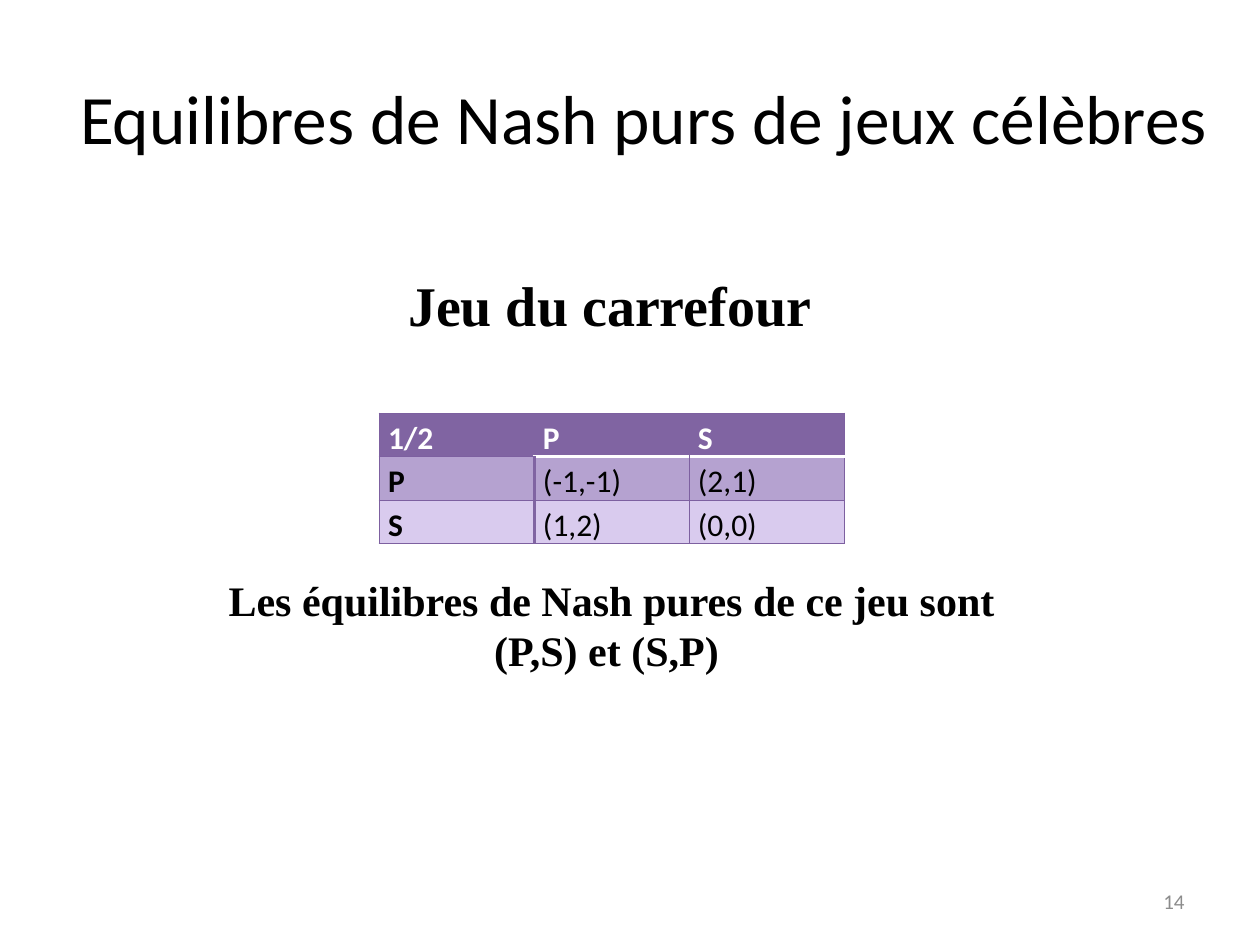
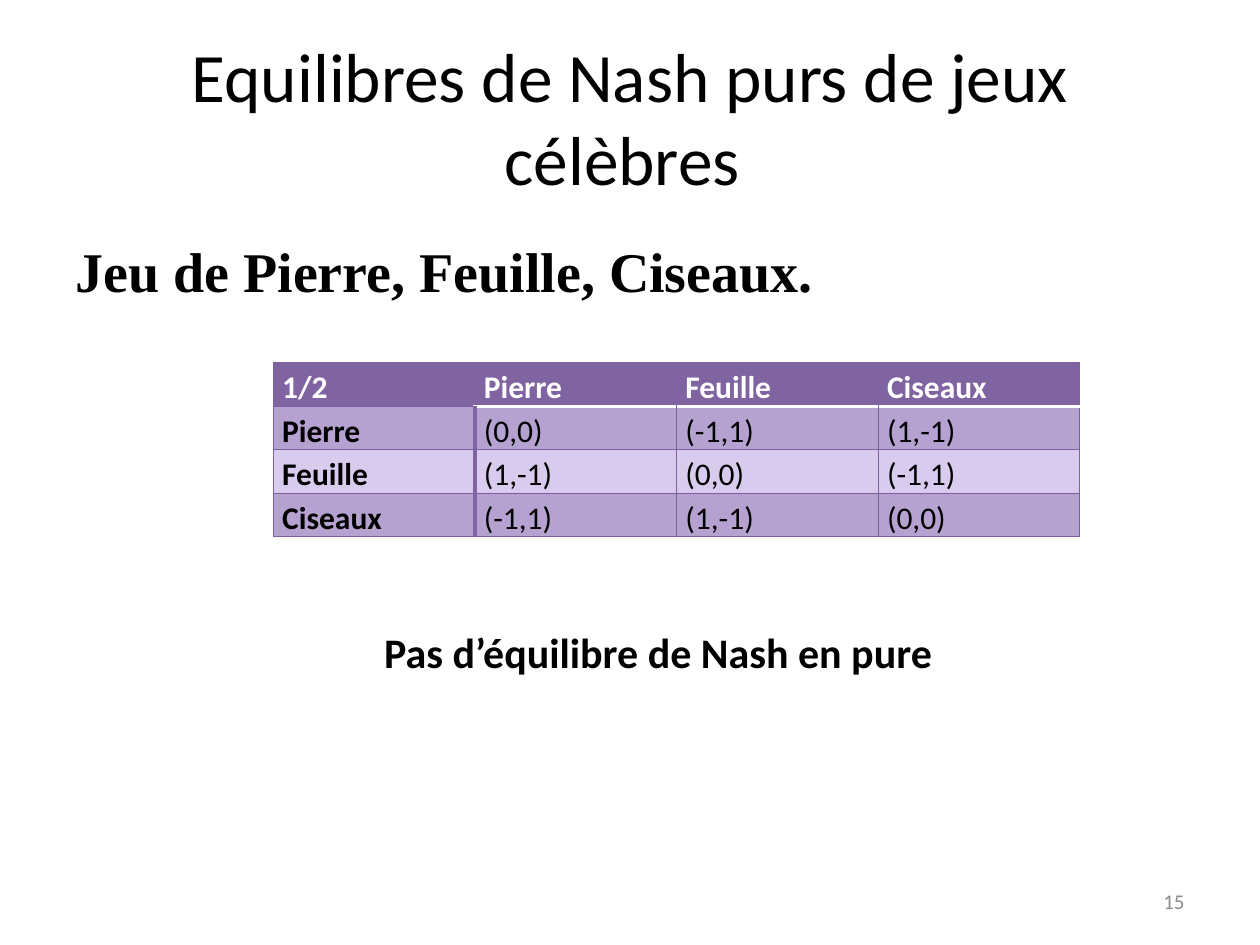
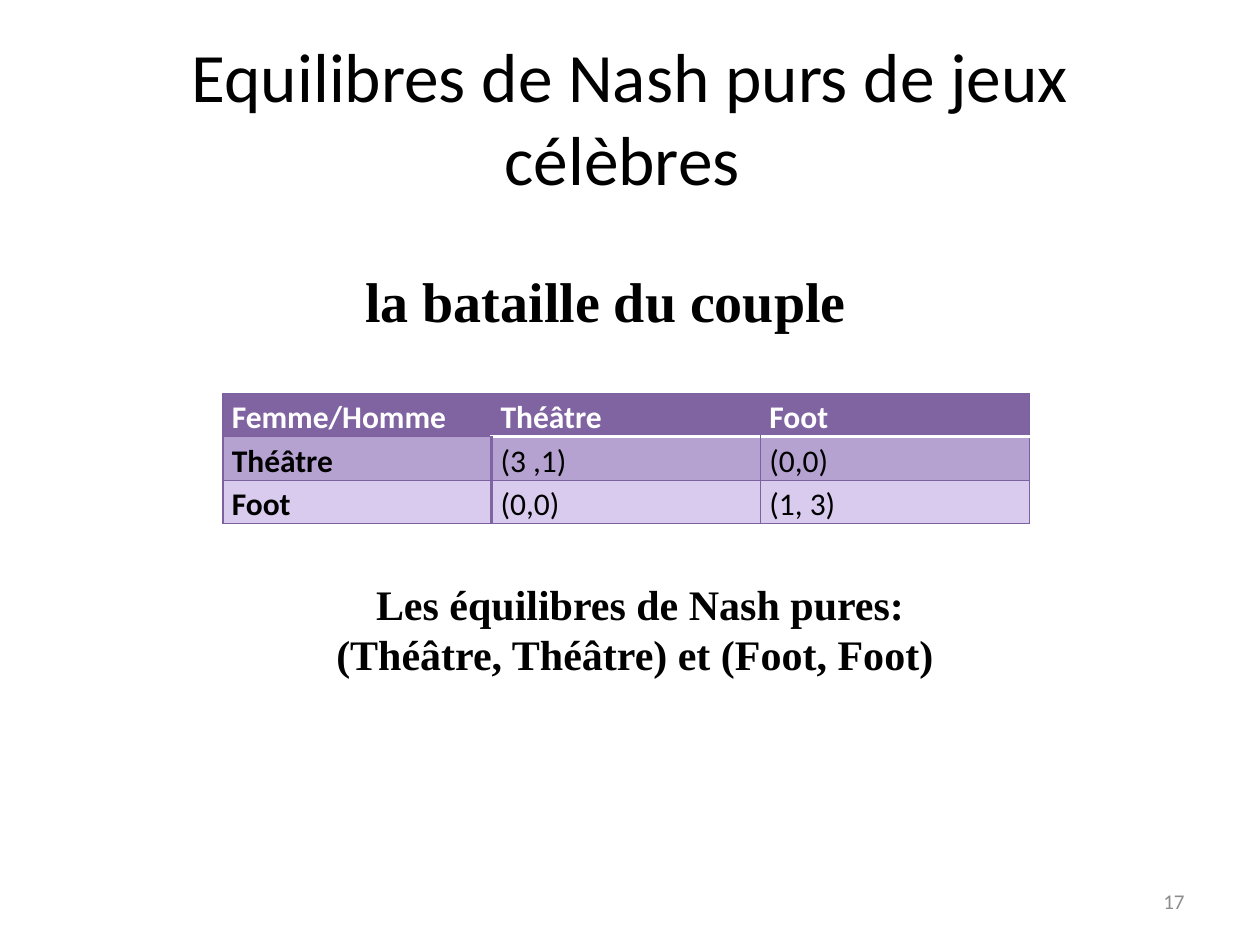
from dataclasses import dataclass

from lxml.etree import SubElement
from pptx import Presentation
from pptx.dml.color import RGBColor
from pptx.enum.text import MSO_ANCHOR, MSO_AUTO_SIZE, PP_ALIGN
from pptx.oxml.ns import qn
from pptx.util import Inches, Pt

# Shared colours and fonts
BLACK = RGBColor(0x00, 0x00, 0x00)
WHITE = RGBColor(0xFF, 0xFF, 0xFF)
GREY = RGBColor(0x8C, 0x8C, 0x8C)
PURPLE = RGBColor(0x80, 0x64, 0xA2)
GRID_PURPLE = RGBColor(0x7D, 0x60, 0xA0)
BAND_DARK = RGBColor(0xB5, 0xA2, 0xD0)
BAND_LIGHT = RGBColor(0xD9, 0xCB, 0xEE)
SANS = "Calibri"
SERIF = "Times New Roman"

TITLE = "Equilibres de Nash purs de jeux célèbres "
TITLE_ONLY = 5
ROW_HEIGHT = 0.34
LINE_SPACING = 1.15

THIN = (GRID_PURPLE, 0.75)
HEADER_RULE = (WHITE, 2)
LABEL_RULE = (PURPLE, 2)


@dataclass(frozen=True)
class Style:
    size: float
    font: str = SANS
    color: RGBColor = BLACK
    bold: bool = False
    align: PP_ALIGN = PP_ALIGN.LEFT
    spacing: float | None = None


TITLE_STYLE = Style(39.6, align=PP_ALIGN.CENTER)
GAME_NAME = Style(32, SERIF, bold=True)
GAME_NAME_SPACED = Style(32, SERIF, bold=True, spacing=LINE_SPACING)
CONCLUSION = Style(24, SERIF, bold=True, align=PP_ALIGN.CENTER)
CONCLUSION_SANS = Style(24, bold=True)
PAGE_NUMBER = Style(12, color=GREY, align=PP_ALIGN.RIGHT)
HEADER_CELL = Style(18, color=WHITE, bold=True, spacing=LINE_SPACING)
LABEL_CELL = Style(18, bold=True, spacing=LINE_SPACING)
PAYOFF_CELL = Style(18, spacing=LINE_SPACING)


@dataclass(frozen=True)
class Caption:
    lines: tuple[str, ...]
    box: tuple[float, float, float, float]
    style: Style
    wrap: bool = True


@dataclass(frozen=True)
class PayoffTable:
    left: float
    top: float
    width: float
    rows: tuple[tuple[str, ...], ...]


@dataclass(frozen=True)
class Game:
    page: str
    name: Caption
    payoffs: PayoffTable
    conclusion: Caption
    title_width: float = 9


GAMES = (
    Game(
        "14",
        Caption(("Jeu du carrefour",), (3.14, 2.1, 3.44, 0.64), GAME_NAME, wrap=False),
        PayoffTable(3.01, 3.28, 3.69, (
            ("1/2", "P", "S"),
            ("P", "(-1,-1)", "(2,1)"),
            ("S", "(1,2)", "(0,0)"),
        )),
        Caption(("Les équilibres de Nash pures de ce jeu sont (P,S) et (S,P) ",),
                (1.41, 4.51, 6.89, 0.91), CONCLUSION),
        title_width=9.22,
    ),
    Game(
        "15",
        Caption(("Jeu de Pierre, Feuille, Ciseaux.",), (0.5, 1.75, 9, 4.95), GAME_NAME_SPACED),
        PayoffTable(2.17, 2.88, 6.4, (
            ("1/2", "Pierre", "Feuille", "Ciseaux"),
            ("Pierre", "(0,0)", "(-1,1)", "(1,-1)"),
            ("Feuille", "(1,-1)", "(0,0)", "(-1,1)"),
            ("Ciseaux", "(-1,1)", "(1,-1)", "(0,0)"),
        )),
        Caption(("Pas d’équilibre de Nash en pure",),
                (2.95, 4.92, 4.59, 0.5), CONCLUSION_SANS, wrap=False),
    ),
    Game(
        "17",
        Caption(("la bataille du couple",), (2.8, 2.07, 4.05, 0.64), GAME_NAME, wrap=False),
        PayoffTable(1.77, 3.12, 6.4, (
            ("Femme/Homme", "Théâtre", "Foot"),
            ("Théâtre", "(3 ,1)", "(0,0)"),
            ("Foot", "(0,0)", "(1, 3)"),
        )),
        Caption(("Les équilibres de Nash pures:", "(Théâtre, Théâtre) et (Foot, Foot) "),
                (2.09, 4.54, 5.98, 0.91), CONCLUSION),
    ),
)


def set_all(target, values: dict) -> None:
    for name, value in values.items():
        setattr(target, name, value)


def write(frame, lines: tuple[str, ...], style: Style) -> None:
    for index, line in enumerate(lines):
        paragraph = frame.add_paragraph() if index else frame.paragraphs[0]
        set_all(paragraph, {"alignment": style.align, "line_spacing": style.spacing})
        run = paragraph.add_run()
        run.text = line
        set_all(run.font, {"name": style.font, "size": Pt(style.size), "bold": style.bold})
        run.font.color.rgb = style.color


def add_title(slide, width: float) -> None:
    title = slide.shapes.title
    set_all(title, {"left": Inches(0.5), "top": Inches(0.3),
                    "width": Inches(width), "height": Inches(1.25)})
    set_all(title.text_frame, {"vertical_anchor": MSO_ANCHOR.MIDDLE, "word_wrap": True,
                               "auto_size": MSO_AUTO_SIZE.NONE})
    write(title.text_frame, (TITLE,), TITLE_STYLE)


def add_caption(slide, caption: Caption, anchor: MSO_ANCHOR = MSO_ANCHOR.TOP) -> None:
    frame = slide.shapes.add_textbox(*map(Inches, caption.box)).text_frame
    set_all(frame, {"word_wrap": caption.wrap, "vertical_anchor": anchor})
    write(frame, caption.lines, caption.style)


def set_borders(cell, borders: dict) -> None:
    properties = cell._tc.get_or_add_tcPr()
    for index, (side, rule) in enumerate(borders.items()):
        line = SubElement(properties, qn(f"a:ln{side}"))
        properties.insert(index, line)
        if rule is None:
            SubElement(line, qn("a:noFill"))
            continue
        color, width = rule
        line.set("w", str(Pt(width)))
        fill = SubElement(line, qn("a:solidFill"))
        SubElement(fill, qn("a:srgbClr")).set("val", str(color))


def cell_borders(row: int, column: int, last_column: int) -> dict:
    """Rules of one cell, the same on both sides of every shared edge."""
    def vertical(edge: int):
        if edge in (0, last_column + 1):
            return THIN
        if row == 0:
            return None
        return LABEL_RULE if edge == 1 else THIN

    def horizontal(edge: int):
        return HEADER_RULE if edge == 1 and column > 0 else THIN

    return {"L": vertical(column), "R": vertical(column + 1),
            "T": horizontal(row), "B": horizontal(row + 1)}


def add_payoffs(slide, payoffs: PayoffTable) -> None:
    row_count, column_count = len(payoffs.rows), len(payoffs.rows[0])
    table = slide.shapes.add_table(
        row_count, column_count, Inches(payoffs.left), Inches(payoffs.top),
        Inches(payoffs.width), Inches(ROW_HEIGHT * row_count)).table
    set_all(table, {"first_col": True, "horz_banding": False})
    for row, texts in enumerate(payoffs.rows):
        for column, text in enumerate(texts):
            cell = table.cell(row, column)
            set_all(cell, {"margin_left": Inches(0.07), "margin_right": Inches(0.07),
                           "margin_top": 0, "margin_bottom": 0})
            cell.fill.solid()
            if row == 0:
                color, style = PURPLE, HEADER_CELL
            else:
                color = BAND_DARK if row % 2 else BAND_LIGHT
                style = PAYOFF_CELL if column else LABEL_CELL
            cell.fill.fore_color.rgb = color
            write(cell.text_frame, (text,), style)
            set_borders(cell, cell_borders(row, column, column_count - 1))


def main() -> None:
    deck = Presentation()
    set_all(deck, {"slide_width": Inches(10), "slide_height": Inches(7.5)})
    for game in GAMES:
        slide = deck.slides.add_slide(deck.slide_layouts[TITLE_ONLY])
        add_title(slide, game.title_width)
        add_caption(slide, game.name)
        add_payoffs(slide, game.payoffs)
        add_caption(slide, game.conclusion)
        # Page number in the footer
        add_caption(slide, Caption((game.page,), (7.17, 6.95, 2.33, 0.4), PAGE_NUMBER),
                    MSO_ANCHOR.MIDDLE)
    deck.save("out.pptx")


if __name__ == "__main__":
    main()
